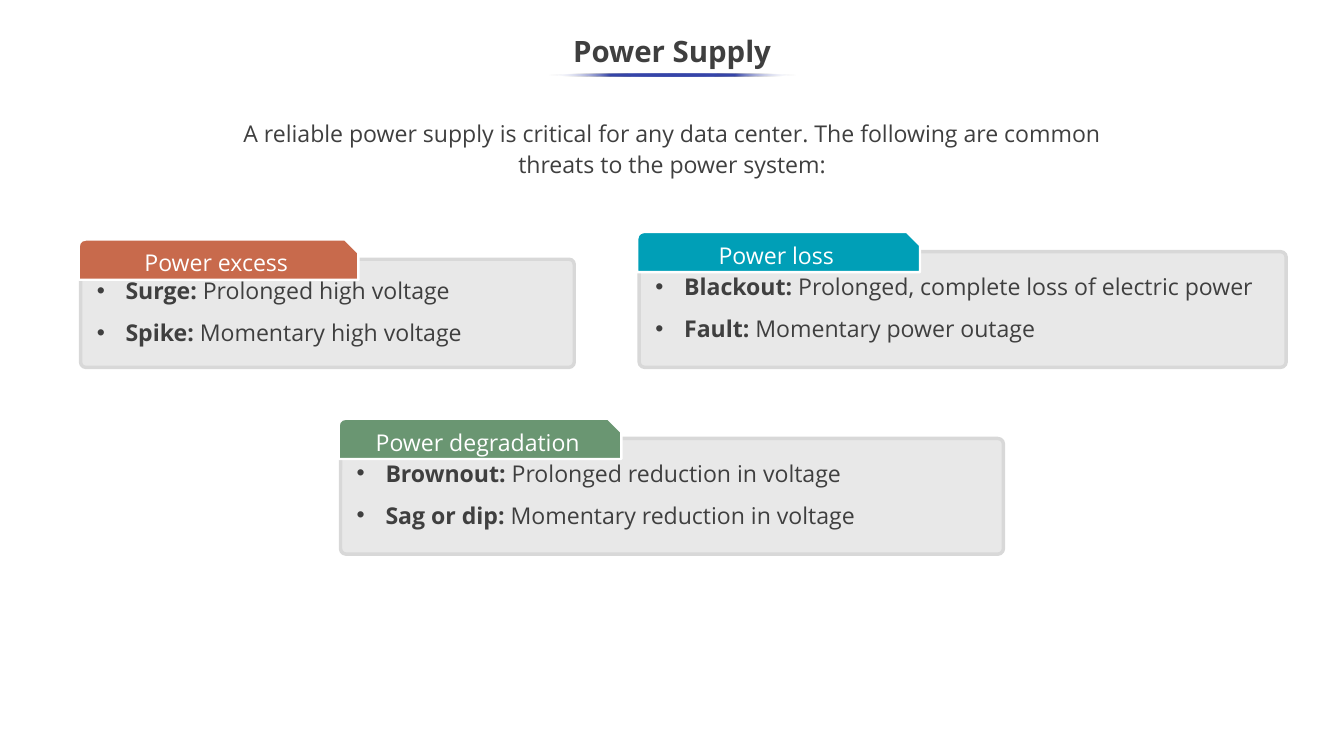
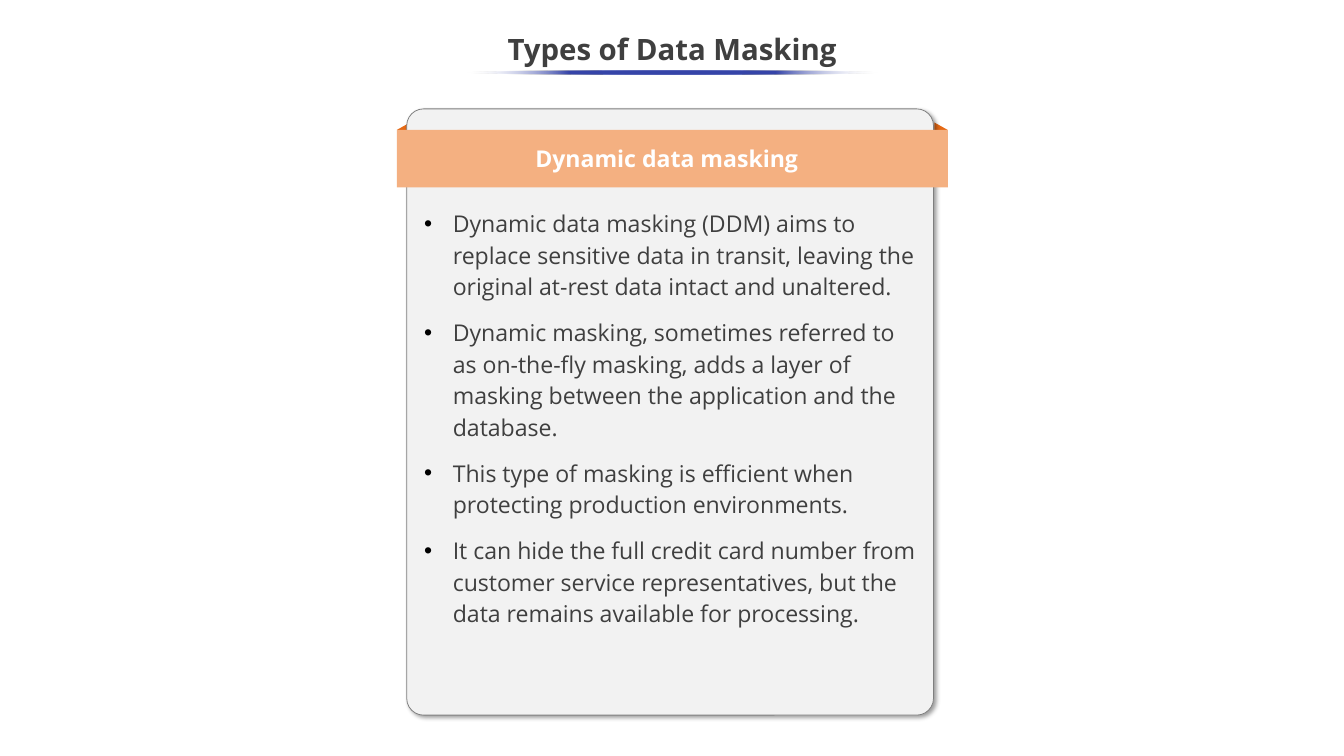
import lxml.etree
import pptx
import pptx.dml.color
import pptx.enum.shapes
import pptx.enum.text
import pptx.oxml.ns
import pptx.util

Pt = pptx.util.Pt
qn = pptx.oxml.ns.qn
SHAPES = pptx.enum.shapes.MSO_SHAPE
ALIGN = pptx.enum.text.PP_ALIGN
ANCHOR = pptx.enum.text.MSO_ANCHOR

SLIDE_WIDTH, SLIDE_HEIGHT = 1280.16, 720
FONT = "Open Sans"
COLORS = {
    "text": "3F3F3F",
    "white": "FFFFFF",
    "black": "000000",
    "underline": "3645A9",
    "card": "E8E8E8",
    "card_line": "D8D8D8",
    "excess": "C86A4C",
    "loss": "009FB7",
    "degradation": "6A9672",
    "panel": "F2F2F2",
    "panel_line": "7F7F7F",
    "band": "F4B081",
    "fold": "E56915",
}


def rgb(name):
    return pptx.dml.color.RGBColor.from_string(COLORS[name])


def add_xml(parent, tag, **attributes):
    return lxml.etree.SubElement(parent, qn(tag), attributes)


def place(box, left, top, width, height):
    box.left, box.top, box.width, box.height = map(Pt, (left, top, width, height))


# Text
def set_bullet(para, color, left, hanging):
    properties = para._p.get_or_add_pPr()
    properties.set("marL", str(Pt(left)))
    properties.set("indent", str(-Pt(hanging)))
    if color is None:
        add_xml(properties, "a:buNone")
        return
    add_xml(add_xml(properties, "a:buClr"), "a:srgbClr", val=COLORS[color])
    add_xml(properties, "a:buFont", typeface="Arial")
    add_xml(properties, "a:buChar", char="•")


def write_text(box, paragraphs, size=22, color="text", bold=False, align=ALIGN.LEFT,
               anchor=ANCHOR.TOP, spacing=1.14, gap=0, bullet=None, left=0,
               hanging=0, inset=(7.2, 3.6)):
    """Each paragraph is a text, or a (bold label, text) pair."""
    frame = box.text_frame
    frame.word_wrap = True
    frame.auto_size = pptx.enum.text.MSO_AUTO_SIZE.NONE
    frame.vertical_anchor = anchor
    frame.margin_left = frame.margin_right = Pt(inset[0])
    frame.margin_top = frame.margin_bottom = Pt(inset[1])
    for index, content in enumerate(paragraphs):
        para = frame.add_paragraph() if index else frame.paragraphs[0]
        set_bullet(para, bullet, left, hanging)
        para.alignment = align
        para.line_spacing = spacing
        para.space_before = Pt(gap if index else 0)
        if isinstance(content, str):
            runs = [(content, bold)]
        else:
            runs = [(content[0] + " ", True), (content[1], False)]
        for text, is_bold in runs:
            span = para.add_run()
            span.text = text
            span.font.name = FONT
            span.font.size = Pt(size)
            span.font.bold = is_bold
            span.font.color.rgb = rgb(color)


def fill_placeholder(page, number, bounds, paragraphs, **text_format):
    """Move a body placeholder, bring it to the front and write in it."""
    holder = page.placeholders[number]
    place(holder, *bounds)
    page.shapes.element.append(holder.element)
    write_text(holder, paragraphs, **text_format)


# Shapes
def add_block(page, kind, bounds, fill, line=None, line_width=0, adjustments=()):
    block = page.shapes.add_shape(kind, *map(Pt, bounds))
    block.shadow.inherit = False
    block.fill.solid()
    block.fill.fore_color.rgb = rgb(fill)
    if line:
        block.line.color.rgb = rgb(line)
        block.line.width = Pt(line_width)
    else:
        block.line.fill.background()
    for index, value in enumerate(adjustments):
        block.adjustments[index] = value
    return block


def add_shadow(block):
    effects = block.element.xpath(".//a:effectLst")[0]
    shadow = add_xml(effects, "a:outerShdw", blurRad=str(Pt(4)), dist=str(Pt(3)),
                     dir="2700000", algn="tl", rotWithShape="0")
    color = add_xml(shadow, "a:srgbClr", val=COLORS["black"])
    add_xml(color, "a:alpha", val="40000")


def add_underline(page, left, top, width):
    """Flat ellipse that fades out at both ends."""
    underline = add_block(page, SHAPES.OVAL, (left, top, width, 2.9), "underline")
    underline.fill.gradient()
    underline.fill.gradient_angle = 0
    stops = underline.element.xpath(".//a:gsLst")[0]
    stops.clear()
    for percent in range(0, 101, 25):
        is_end = percent in (0, 100)
        stop = add_xml(stops, "a:gs", pos=str(percent * 1000))
        color = add_xml(stop, "a:srgbClr", val=COLORS["white" if is_end else "underline"])
        if is_end:
            add_xml(color, "a:alpha", val="0")


def start_page(deck, layout, title, title_top, underline_left, underline_width):
    page = deck.slides.add_slide(deck.slide_layouts[layout])
    place(page.shapes.title, -0.7, title_top, 1281.6, 54)
    write_text(page.shapes.title, [title], size=28, bold=True, align=ALIGN.CENTER,
               anchor=ANCHOR.MIDDLE, spacing=0.9)
    add_underline(page, underline_left, title_top + 46.1, underline_width)
    return page


def add_card(page, number, label, color, left, top, tab_width, width, height,
             list_top, list_width, items):
    """Grey card with a coloured tab and a bulleted list."""
    add_block(page, SHAPES.ROUNDED_RECTANGLE, (left + 1.8, top + 18.7, width, height),
              "card", "card_line", 3.25, [0.048])
    tab = add_block(page, SHAPES.SNIP_ROUND_RECTANGLE, (left, top, tab_width, 38.2),
                    color, "white", 2.25, [0.167, 0.33])
    write_text(tab, [label], color="white", align=ALIGN.CENTER, anchor=ANCHOR.MIDDLE)
    fill_placeholder(page, number, (left, list_top, list_width, 88.6), items, gap=10,
                     bullet="text", left=37.4, hanging=27.4)


# Slides
def build_power_supply(deck):
    page = start_page(deck, 4, "Power Supply", 23.8, 522, 236.2)
    fill_placeholder(
        page, 1, (194.4, 109.4, 891.4, 60.5),
        ["A reliable power supply is critical for any data center. "
         "The following are common threats to the power system:"],
        align=ALIGN.CENTER, anchor=ANCHOR.MIDDLE, inset=(0, 0))
    cards = [
        ("Power excess", "excess", 75, 228.2, 266.4, 470.2, 103, 256.3, 533.5,
         [("Surge:", "Prolonged high voltage"),
          ("Spike:", "Momentary high voltage")]),
        ("Power loss", "loss", 607, 221, 269.3, 616.3, 110.2, 252, 617.8,
         [("Blackout:", "Prolonged, complete loss of electric power"),
          ("Fault:", "Momentary power outage")]),
        ("Power degradation", "degradation", 322.6, 398.9, 269.3, 631.4, 110.2, 429.8, 617.8,
         [("Brownout:", "Prolonged reduction in voltage"),
          ("Sag or dip:", "Momentary reduction in voltage")]),
    ]
    for number, card in enumerate(cards, start=2):
        add_card(page, number, *card)


def build_data_masking(deck):
    page = start_page(deck, 1, "Types of Data Masking", 21.6, 444.2, 392.4)

    # Folded ribbon ends behind the panel
    for left, flipped in ((378, True), (889.9, False)):
        fold = add_block(page, SHAPES.RIGHT_TRIANGLE, (left, 116.6, 12.8, 7.2), "fold")
        if flipped:
            fold.element.xpath(".//a:xfrm")[0].set("flipH", "1")

    panel = add_block(page, SHAPES.ROUNDED_RECTANGLE, (387.4, 103.7, 501.8, 577.4),
                      "panel", "panel_line", 0.75, [0.032])
    add_shadow(panel)
    fill_placeholder(
        page, 1, (396.7, 192.2, 485.3, 413.3),
        ["Dynamic data masking (DDM) aims to replace sensitive data in transit, "
         "leaving the original at-rest data intact and unaltered.",
         "Dynamic masking, sometimes referred to as on-the-fly masking, adds a layer "
         "of masking between the application and the database.",
         "This type of masking is efficient when protecting production environments.",
         "It can hide the full credit card number from customer service "
         "representatives, but the data remains available for processing."],
        gap=13.6, bullet="black", left=27.4, hanging=27.4)

    # Ribbon and its heading
    add_block(page, SHAPES.RECTANGLE, (378, 123.8, 524.9, 54.7), "band")
    heading = page.shapes.add_textbox(*map(Pt, (493.2, 133.9, 283.7, 33.8)))
    write_text(heading, ["Dynamic data masking"], color="white", bold=True,
               align=ALIGN.CENTER, spacing=1.0)


def main():
    deck = pptx.Presentation()
    deck.slide_width, deck.slide_height = Pt(SLIDE_WIDTH), Pt(SLIDE_HEIGHT)
    build_power_supply(deck)
    build_data_masking(deck)
    deck.save("out.pptx")


if __name__ == "__main__":
    main()
